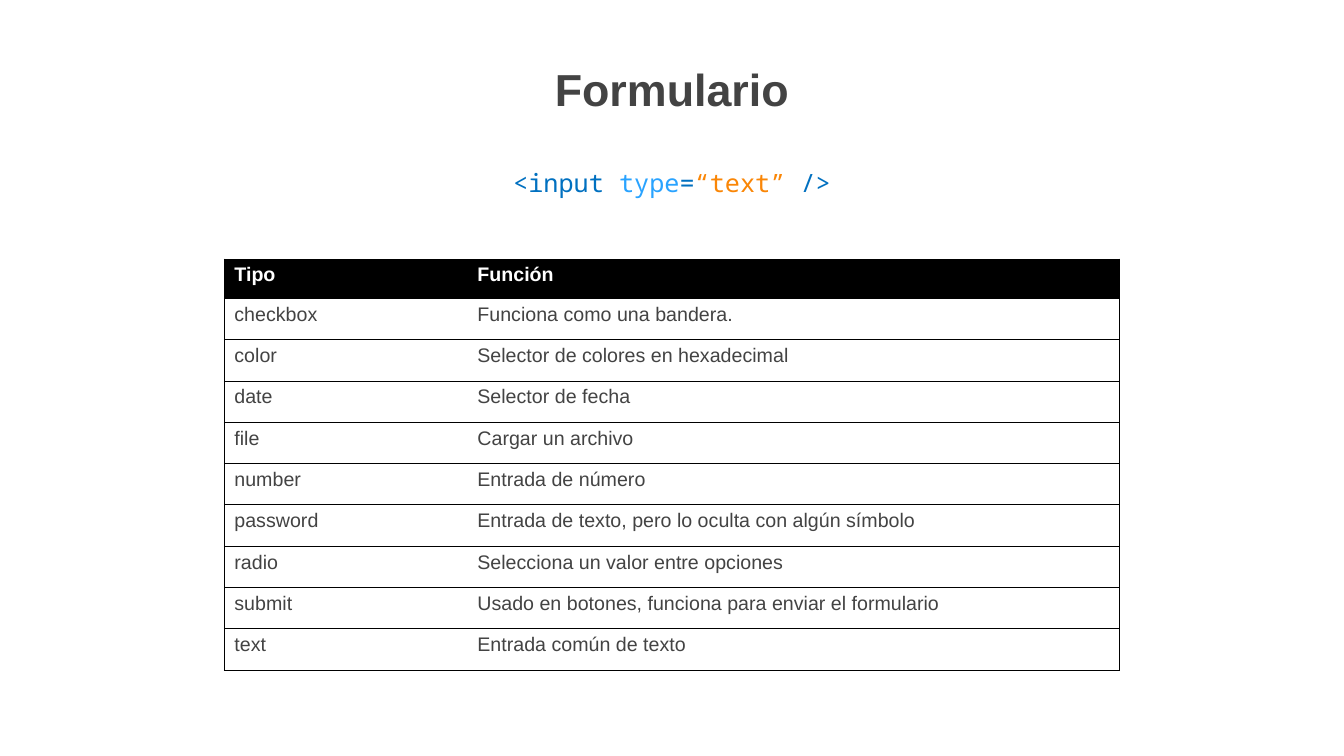
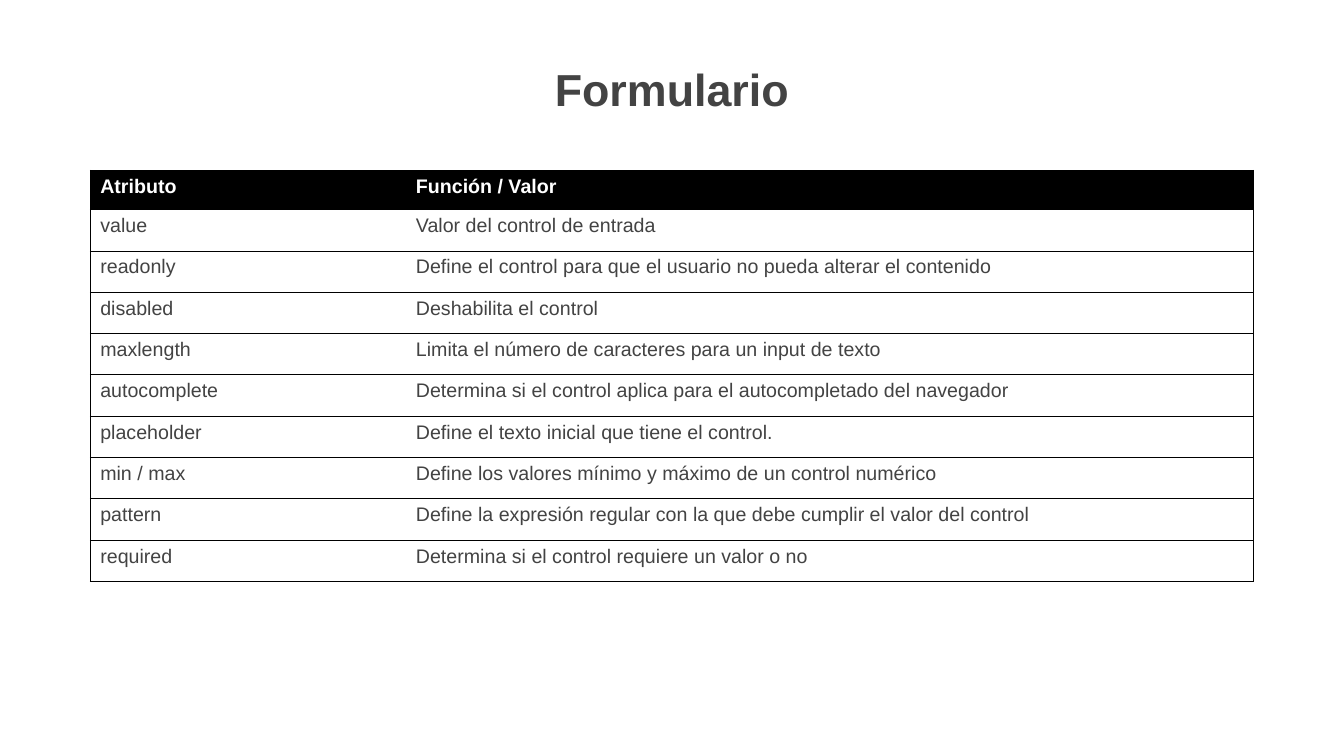
import dataclasses

import lxml.etree
import pptx
import pptx.dml.color
import pptx.enum.text
import pptx.oxml.ns
import pptx.util


@dataclasses.dataclass(frozen=True)
class Theme:
    text: str = "434343"
    line: str = "000000"
    header_fill: str = "000000"
    header_text: str = "FFFFFF"
    tag: str = "0070C0"
    attribute: str = "29A3FF"
    string: str = "FA8606"
    font: str = "Arial"
    code_font: str = "Noto Sans Mono"
    title_size: float = 32
    code_size: float = 18
    table_size: float = 14
    border: float = 0.75


theme = Theme()
inches = pptx.util.Inches
color = pptx.dml.color.RGBColor.from_string
qn = pptx.oxml.ns.qn

SLIDE_WIDTH, SLIDE_HEIGHT = 13.33, 7.5
HEADER_HEIGHT, ROW_HEIGHT = 0.39, 0.41

pages = [
    {
        "title": "Formulario",
        "code": [
            ("<input ", theme.tag),
            ("type", theme.attribute),
            ("=", theme.tag),
            ("“text” ", theme.string),
            ("/>", theme.tag),
        ],
        "table_top": 2.57,
        "columns": (2.41, 6.47),
        "rows": [
            ("Tipo", "Función"),
            ("checkbox", "Funciona como una bandera."),
            ("color", "Selector de colores en hexadecimal"),
            ("date", "Selector de fecha"),
            ("file", "Cargar un archivo"),
            ("number", "Entrada de número"),
            ("password", "Entrada de texto, pero lo oculta con algún símbolo"),
            ("radio", "Selecciona un valor entre opciones"),
            ("submit", "Usado en botones, funciona para enviar el formulario"),
            ("text", "Entrada común de texto"),
        ],
    },
    {
        "title": "Formulario",
        "code": [],
        "table_top": 1.69,
        "columns": (3.13, 8.41),
        "rows": [
            ("Atributo", "Función / Valor"),
            ("value", "Valor del control de entrada"),
            ("readonly", "Define el control para que el usuario no pueda alterar el contenido"),
            ("disabled", "Deshabilita el control"),
            ("maxlength", "Limita el número de caracteres para un input de texto"),
            ("autocomplete", "Determina si el control aplica para el autocompletado del navegador"),
            ("placeholder", "Define el texto inicial que tiene el control."),
            ("min / max", "Define los valores mínimo y máximo de un control numérico"),
            ("pattern", "Define la expresión regular con la que debe cumplir el valor del control"),
            ("required", "Determina si el control requiere un valor o no"),
        ],
    },
]


def add_centered_box(page, top, width, height):
    left = (SLIDE_WIDTH - width) / 2
    box = page.shapes.add_textbox(inches(left), inches(top), inches(width), inches(height))
    box.text_frame.word_wrap = True
    para = box.text_frame.paragraphs[0]
    para.alignment = pptx.enum.text.PP_ALIGN.CENTER
    return box.text_frame, para


def set_borders(cell, visible):
    properties = cell._tc.get_or_add_tcPr()
    for side in "LRTB":
        line = lxml.etree.SubElement(properties, qn("a:ln" + side))
        line.set("w", str(pptx.util.Pt(theme.border)))
        if side in visible:
            fill = lxml.etree.SubElement(line, qn("a:solidFill"))
            lxml.etree.SubElement(fill, qn("a:srgbClr")).set("val", theme.line)
        else:
            lxml.etree.SubElement(line, qn("a:noFill"))


deck = pptx.Presentation()
deck.slide_width = inches(SLIDE_WIDTH)
deck.slide_height = inches(SLIDE_HEIGHT)

for content in pages:
    page = deck.slides.add_slide(deck.slide_layouts[6])

    frame, para = add_centered_box(page, 0.51, 7.6, 1.38)
    frame.margin_left = frame.margin_right = inches(0.1)
    frame.margin_top = frame.margin_bottom = inches(0.1)
    para.text = content["title"]
    para.font.name = theme.font
    para.font.size = pptx.util.Pt(theme.title_size)
    para.font.bold = True
    para.font.color.rgb = color(theme.text)

    rows, columns = content["rows"], content["columns"]
    table_width = sum(columns)
    table_height = HEADER_HEIGHT + ROW_HEIGHT * (len(rows) - 1)
    table = page.shapes.add_table(
        len(rows), len(columns),
        inches((SLIDE_WIDTH - table_width) / 2), inches(content["table_top"]),
        inches(table_width), inches(table_height),
    ).table
    table.horz_banding = False
    for column, width in zip(table.columns, columns):
        column.width = inches(width)
    for row_index, row in enumerate(rows):
        is_header = row_index == 0
        table.rows[row_index].height = inches(HEADER_HEIGHT if is_header else ROW_HEIGHT)
        for column_index, text in enumerate(row):
            cell = table.cell(row_index, column_index)
            set_borders(cell, "LTB" if column_index == 0 else "RTB")
            if is_header:
                cell.fill.solid()
                cell.fill.fore_color.rgb = color(theme.header_fill)
            else:
                cell.fill.background()
            para = cell.text_frame.paragraphs[0]
            para.text = text
            para.font.name = theme.font
            para.font.size = pptx.util.Pt(theme.table_size)
            para.font.bold = is_header
            para.font.color.rgb = color(theme.header_text if is_header else theme.text)

    if content["code"]:
        frame, para = add_centered_box(page, 1.46, 10.34, 0.51)
        para.line_spacing = 1.5
        para.font.name = theme.code_font
        para.font.size = pptx.util.Pt(theme.code_size)
        for text, tint in content["code"]:
            span = para.add_run()
            span.text = text
            span.font.color.rgb = color(tint)

deck.save("out.pptx")
